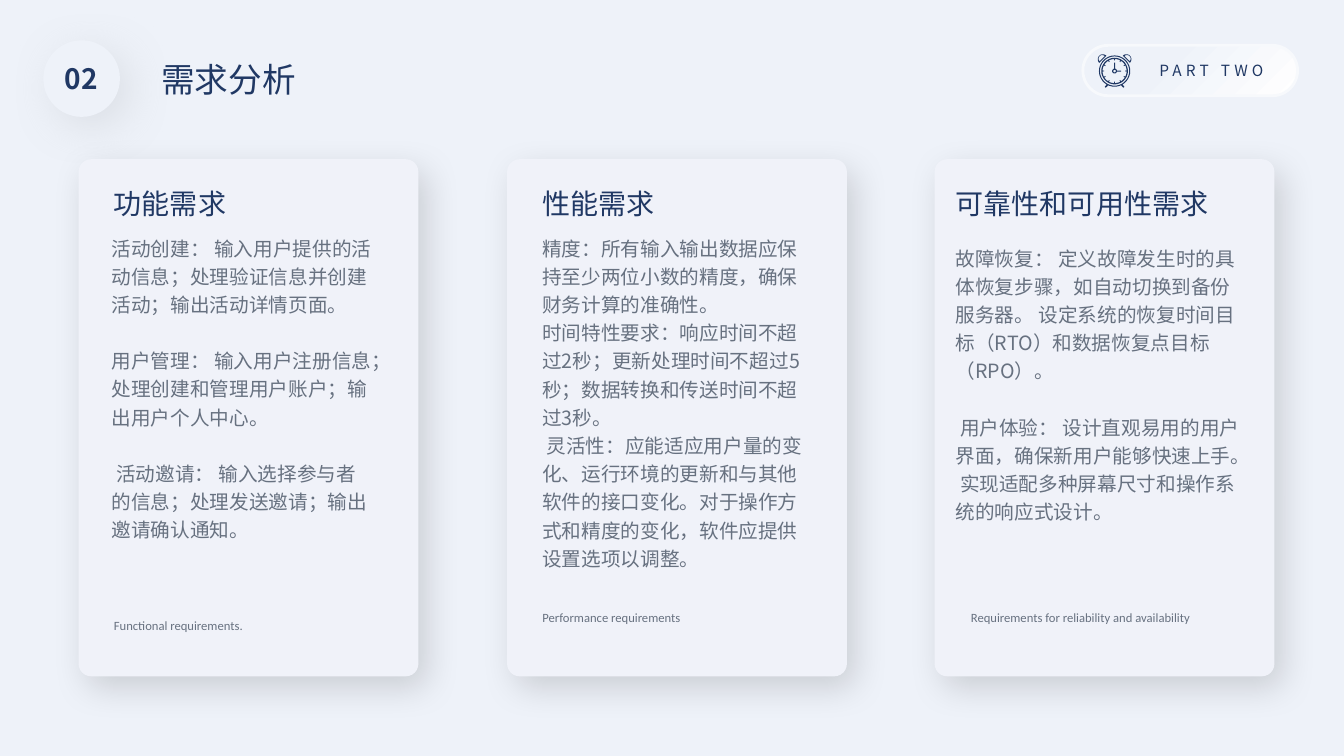
from math import cos, sin, radians
from pptx import Presentation
from pptx.util import Inches, Pt
from pptx.dml.color import RGBColor
from pptx.enum.shapes import MSO_SHAPE as Kind
from pptx.enum.text import PP_ALIGN as Align, MSO_ANCHOR as Anchor
from pptx.oxml import parse_xml
from pptx.oxml.ns import nsdecls, qn

NAVY, GREY, PALE, CARD = "203864", "677180", "EEF2F9", "F0F2F9"
NOTO = "Noto Sans CJK SC"
rgb = RGBColor.from_string

deck = Presentation()
deck.slide_width, deck.slide_height = Inches(13.33), Inches(7.5)
slide = deck.slides.add_slide(deck.slide_layouts[5])
slide.background.fill.solid()
slide.background.fill.fore_color.rgb = rgb(PALE)
shapes = slide.shapes


def write(box, lines, size, color=NAVY, font=NOTO, align=Align.LEFT, pad=0.1, edge=0.05, lead=1.0, gap=0):
    frame = box.text_frame
    frame.word_wrap = True
    frame.margin_left = frame.margin_right = Inches(pad)
    frame.margin_top = frame.margin_bottom = Inches(edge)
    for i, line in enumerate(lines):
        para = frame.add_paragraph() if i else frame.paragraphs[0]
        para.alignment, para.line_spacing = align, lead
        para.space_before = Pt(gap if i else 0)
        run = para.add_run()
        run.text = line
        run.font.size, run.font.name = Pt(size), font
        run.font.color.rgb = rgb(color)
        east = run.font._element.makeelement(qn("a:ea"), {"typeface": font})
        run.font._element.append(east)
    return run


def arc(x, y, r, start=0, end=360):
    return [(x + r * cos(radians(a)), y + r * sin(radians(a))) for a in range(start, end + 1, 10)]


pill = shapes.add_shape(Kind.ROUNDED_RECTANGLE, Inches(10.74), Inches(0.45), Inches(2.13), Inches(0.5))
pill.adjustments[0] = 0.5
pill.shadow.inherit = False
pill.fill.gradient()
pill.fill.gradient_angle = 315
for stop, spot, tint in zip(pill.fill.gradient_stops, (0.35, 1), (PALE, "FFFFFF")):
    stop.position, stop.color.rgb = spot, rgb(tint)
pill.line.color.rgb = rgb("F7F9FC")
pill.line.width = Pt(2)

cx, cy = 11055, 705
parts = [arc(cx, cy, r) for r in (155, 145, 132, 120, 24, 13)]
for turn in range(0, 360, 30):
    c, s = cos(radians(turn)), sin(radians(turn))
    parts.append([(cx + r * c - w * s, cy + r * s + w * c)
                  for r, w in ((105, -4), (118, -4), (118, 4), (105, 4))])
parts.append([(cx - 5, 620), (cx + 5, 620), (cx + 5, 680), (cx - 5, 680)])
parts.append([(11080, 700), (11120, 700), (11120, 710), (11080, 710)])
bell = arc(10938, 588, 50, 135, 315)
hole = arc(10932, 582, 36, 135, 315)
foot = [(10975, 840), (10990, 850), (10967, 870), (10957, 862)]
for part in (bell, hole, foot):
    parts += [part, [(2 * cx - x, y) for x, y in part]]
build = shapes.build_freeform(*parts[0][0], scale=Inches(1) / 1000)
for part in parts:
    build.move_to(*part[0])
    build.add_line_segments(part[1:], close=True)
clock = build.convert_to_shape()
clock.shadow.inherit = False
clock.fill.solid()
clock.fill.fore_color.rgb = rgb(NAVY)
clock.line.fill.background()

label = shapes.add_textbox(Inches(11.22), Inches(0.56), Inches(1.59), Inches(0.29))
run = write(label, ["PART TWO"], 11, align=Align.CENTER)
run.font._element.set("spc", "300")

panels = [(Kind.OVAL, 0.43, 0.4, 0.76, 0.76, PALE, ("CACED4", 50, 30, 45))]
panels += [(Kind.ROUNDED_RECTANGLE, x, 1.58, 3.37, 5.13, CARD, ("000000", 15, 25, 55))
           for x in (0.78, 5.03, 9.27)]
for kind, x, y, w, h, tint, (dark, alpha, blur, angle) in panels:
    panel = shapes.add_shape(kind, Inches(x), Inches(y), Inches(w), Inches(h))
    if kind == Kind.ROUNDED_RECTANGLE:
        panel.adjustments[0] = 0.037
    panel.fill.solid()
    panel.fill.fore_color.rgb = rgb(tint)
    panel.line.fill.background()
    panel._element.spPr.append(parse_xml(
        f'<a:effectLst {nsdecls("a")}><a:outerShdw blurRad="{Pt(blur)}" dist="{Pt(10)}" '
        f'dir="{angle * 60000}" algn="tl" rotWithShape="0"><a:srgbClr val="{dark}">'
        f'<a:alpha val="{alpha * 1000}"/></a:srgbClr></a:outerShdw></a:effectLst>'))

badge = shapes.add_textbox(Inches(0.63), Inches(0.56), Inches(0.35), Inches(0.44))
write(badge, ["02"], 20, align=Align.CENTER, pad=0).font.bold = True
badge.text_frame.word_wrap = False

title = shapes.title
title.left, title.top, title.width, title.height = Inches(1.5), Inches(0.53), Inches(3.84), Inches(0.5)
write(title, ["需求分析"], 24)
title.text_frame.vertical_anchor = Anchor.MIDDLE

needs = [
    (1.13, "功能需求", (1.13, 6.05), "Functional requirements.", (1.01, 2.25, 2.78, 3.47), 20, [
        "活动创建： 输入用户提供的活动信息；处理验证信息并创建活动；输出活动详情页面。",
        "用户管理： 输入用户注册信息；处理创建和管理用户账户；输出用户个人中心。",
        " 活动邀请： 输入选择参与者的信息；处理发送邀请；输出邀请确认通知。"]),
    (5.38, "性能需求", (5.38, 5.98), "Performance requirements", (5.28, 2.25, 2.78, 3.47), 0, [
        "精度：所有输入输出数据应保持至少两位小数的精度，确保财务计算的准确性。",
        "时间特性要求：响应时间不超过2秒；更新处理时间不超过5秒；数据转换和传送时间不超过3秒。",
        " 灵活性：应能适应用户量的变化、运行环境的更新和与其他软件的接口变化。"
        "对于操作方式和精度的变化，软件应提供设置选项以调整。"]),
    (9.48, "可靠性和可用性需求", (9.63, 5.98), "Requirements for reliability and availability",
     (9.38, 2.35, 3.12, 2.9), 20, [
        "故障恢复： 定义故障发生时的具体恢复步骤，如自动切换到备份服务器。 "
        "设定系统的恢复时间目标（RTO）和数据恢复点目标（RPO）。",
        " 用户体验： 设计直观易用的用户界面，确保新用户能够快速上手。 "
        "实现适配多种屏幕尺寸和操作系统的响应式设计。"]),
]
for left, head, spot, note, area, gap, lines in needs:
    box = shapes.add_textbox(Inches(left), Inches(1.78), Inches(2.66), Inches(0.37))
    write(box, [head], 20, pad=0, edge=0, lead=1.2)
    box = shapes.add_textbox(*map(Inches, spot), Inches(2.4), Inches(0.2))
    write(box, [note], 9, GREY, "Calibri", pad=0, edge=0, lead=1.5)
    box = shapes.add_textbox(*map(Inches, area))
    write(box, lines, 14, GREY, lead=1.2, gap=gap)

deck.save("out.pptx")
